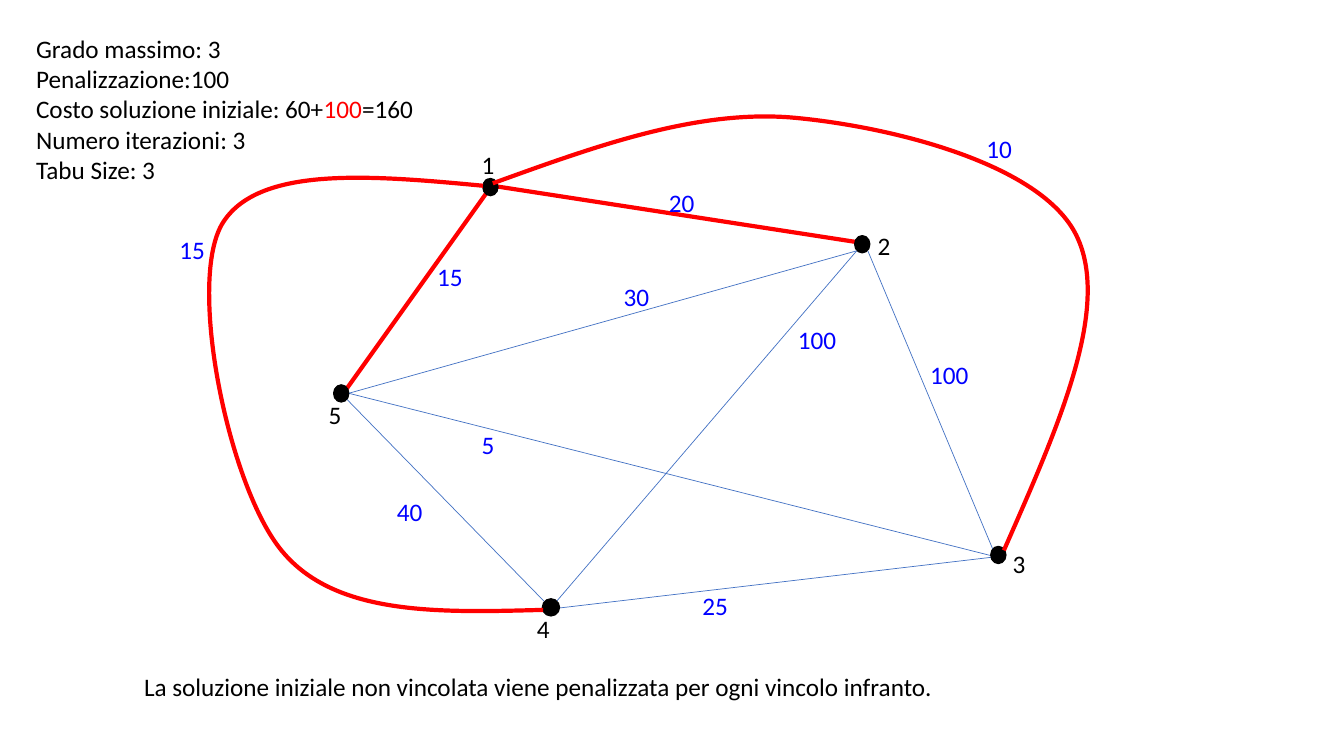
from lxml.etree import SubElement
from pptx import Presentation
from pptx.dml.color import RGBColor
from pptx.enum.shapes import MSO_CONNECTOR, MSO_SHAPE
from pptx.enum.text import MSO_AUTO_SIZE
from pptx.oxml.ns import qn
from pptx.util import Cm, Pt

BLACK = RGBColor(0x00, 0x00, 0x00)
RED = RGBColor(0xFF, 0x00, 0x00)
BLUE = RGBColor(0x00, 0x00, 0xFF)
STEEL = RGBColor(0x44, 0x72, 0xC4)

PLAIN_EDGES = [
    (14.10, 15.32, 25.35, 14.00),
    (21.87, 6.32, 25.02, 13.84),
    (8.74, 10.06, 13.72, 15.16),
    (8.79, 9.91, 21.59, 6.32),
    (14.02, 15.16, 21.59, 6.32),
    (8.79, 9.91, 24.97, 14.00),
]
TREE_EDGES = [(12.27, 4.85, 8.69, 9.86), (12.34, 4.67, 21.72, 6.12)]
NODES = [
    (8.41, 9.70, 0.38, 0.43),
    (24.97, 13.77, 0.38, 0.43),
    (21.54, 5.94, 0.38, 0.43),
    (13.67, 15.09, 0.43, 0.43),
    (12.17, 4.50, 0.38, 0.43),
]
NODE_1_CORE = (12.19, 4.52, 0.20, 0.36)
BOX_1_4 = (5.28, 4.47, 8.43, 10.92)
CURVE_1_4 = [
    (12.37, 4.70), (9.42, 4.42), (6.48, 4.14), (5.59, 5.66), (4.72, 7.19),
    (5.77, 12.29), (7.11, 13.89), (8.46, 15.52), (11.07, 15.44), (13.69, 15.37),
]
BOX_1_3 = (12.42, 2.95, 14.99, 10.92)
CURVE_1_3 = [
    (12.42, 4.62), (15.02, 3.68), (17.60, 2.74), (20.04, 2.97), (22.50, 3.20),
    (26.26, 4.14), (27.13, 5.94), (28.02, 7.77), (26.64, 10.82), (25.30, 13.87),
]
NODE_LABELS = [
    ("1", 11.89, 3.63), ("2", 21.87, 5.69), ("3", 25.27, 13.69),
    ("4", 13.28, 15.34), ("5", 8.03, 9.93),
]
COSTS = [
    ("20", 16.61, 4.60), ("15", 10.77, 6.45), ("30", 15.47, 6.96),
    ("100", 19.86, 8.05), ("5", 11.89, 10.69), ("25", 17.45, 14.76),
    ("10", 24.61, 3.23), ("15", 4.27, 5.79), ("40", 9.75, 12.37),
    ("100", 23.19, 8.92),
]
PARAMETERS = [
    [("Grado massimo: 3", BLACK)],
    [("Penalizzazione:100", BLACK)],
    [("Costo soluzione iniziale: 60+", BLACK), ("100", RED), ("=160", BLACK)],
    [("Numero iterazioni: 3", BLACK)],
    [("Tabu Size: 3", BLACK)],
]
NOTE = "La soluzione iniziale non vincolata viene penalizzata per ogni vincolo infranto."


class GraphSlide:
    """Draws graph elements in one style on the current slide."""

    font = "Calibri"
    size = Pt(18)

    def __init__(self, s):
        """Keep the slide to draw on."""
        self.s = s

    def edge(self, x1, y1, x2, y2, color, width):
        """Draw a straight edge."""
        line = self.s.shapes.add_connector(
            MSO_CONNECTOR.STRAIGHT, Cm(x1), Cm(y1), Cm(x2), Cm(y2))
        line.line.color.rgb = color
        line.line.width = Pt(width)
        SubElement(line._element.spPr, qn("a:effectLst"))

    def node(self, x, y, w, h):
        """Draw a black node."""
        sp = self.s.shapes.add_shape(MSO_SHAPE.OVAL, Cm(x), Cm(y), Cm(w), Cm(h))
        sp.shadow.inherit = False
        sp.fill.solid()
        sp.fill.fore_color.rgb = BLACK
        sp.line.color.rgb = BLACK
        sp.line.width = Pt(1)

    def curve(self, box, points):
        """Draw a red edge of chained cubic Bézier segments inside its box."""
        x, y, w, h = box
        builder = self.s.shapes.build_freeform(Cm(x), Cm(y))
        builder.add_line_segments([(Cm(x + w), Cm(y + h))], close=False)
        sp = builder.convert_to_shape()
        outline = next(sp._element.iter(qn("a:path")))
        for step in list(outline):
            outline.remove(step)
        segments = [("a:moveTo", points[:1])]
        segments += [("a:cubicBezTo", points[i:i + 3])
                     for i in range(1, len(points), 3)]
        for tag, controls in segments:
            step = SubElement(outline, qn(tag))
            for px, py in controls:
                SubElement(step, qn("a:pt"),
                           x=str(int(Cm(px - x))), y=str(int(Cm(py - y))))
        sp.shadow.inherit = False
        sp.fill.background()
        sp.line.color.rgb = RED
        sp.line.width = Pt(3)

    def text(self, x, y, w, h, paragraphs):
        """Write paragraphs given as lists of (text, color) runs."""
        tf = self.s.shapes.add_textbox(Cm(x), Cm(y), Cm(w), Cm(h)).text_frame
        tf.word_wrap = False
        tf.auto_size = MSO_AUTO_SIZE.SHAPE_TO_FIT_TEXT
        for i, runs in enumerate(paragraphs):
            p = tf.add_paragraph() if i else tf.paragraphs[0]
            for content, color in runs:
                r = p.add_run()
                r.text = content
                r.font.name = self.font
                r.font.size = self.size
                r.font.color.rgb = color

    def label(self, content, x, y, color):
        """Write a short label in a box fitted to its digits."""
        self.text(x, y, 0.51 + 0.33 * len(content), 1.02, [[(content, color)]])


def main():
    """Build the slide and save it."""
    prs = Presentation()
    prs.slide_width, prs.slide_height = Cm(33.87), Cm(19.05)
    g = GraphSlide(prs.slides.add_slide(prs.slide_layouts[6]))
    for ends in PLAIN_EDGES:
        g.edge(*ends, STEEL, 0.5)
    for ends in TREE_EDGES:
        g.edge(*ends, RED, 3)
    for box in NODES:
        g.node(*box)
    g.curve(BOX_1_4, CURVE_1_4)
    g.node(*NODE_1_CORE)
    g.curve(BOX_1_3, CURVE_1_3)
    for label in NODE_LABELS:
        g.label(*label, BLACK)
    for cost in COSTS:
        g.label(*cost, BLUE)
    g.text(0.66, 0.71, 10.11, 4.11, PARAMETERS)
    g.text(3.38, 16.79, 20.47, 1.02, [[(NOTE, BLACK)]])
    prs.save("out.pptx")


if __name__ == "__main__":
    main()
